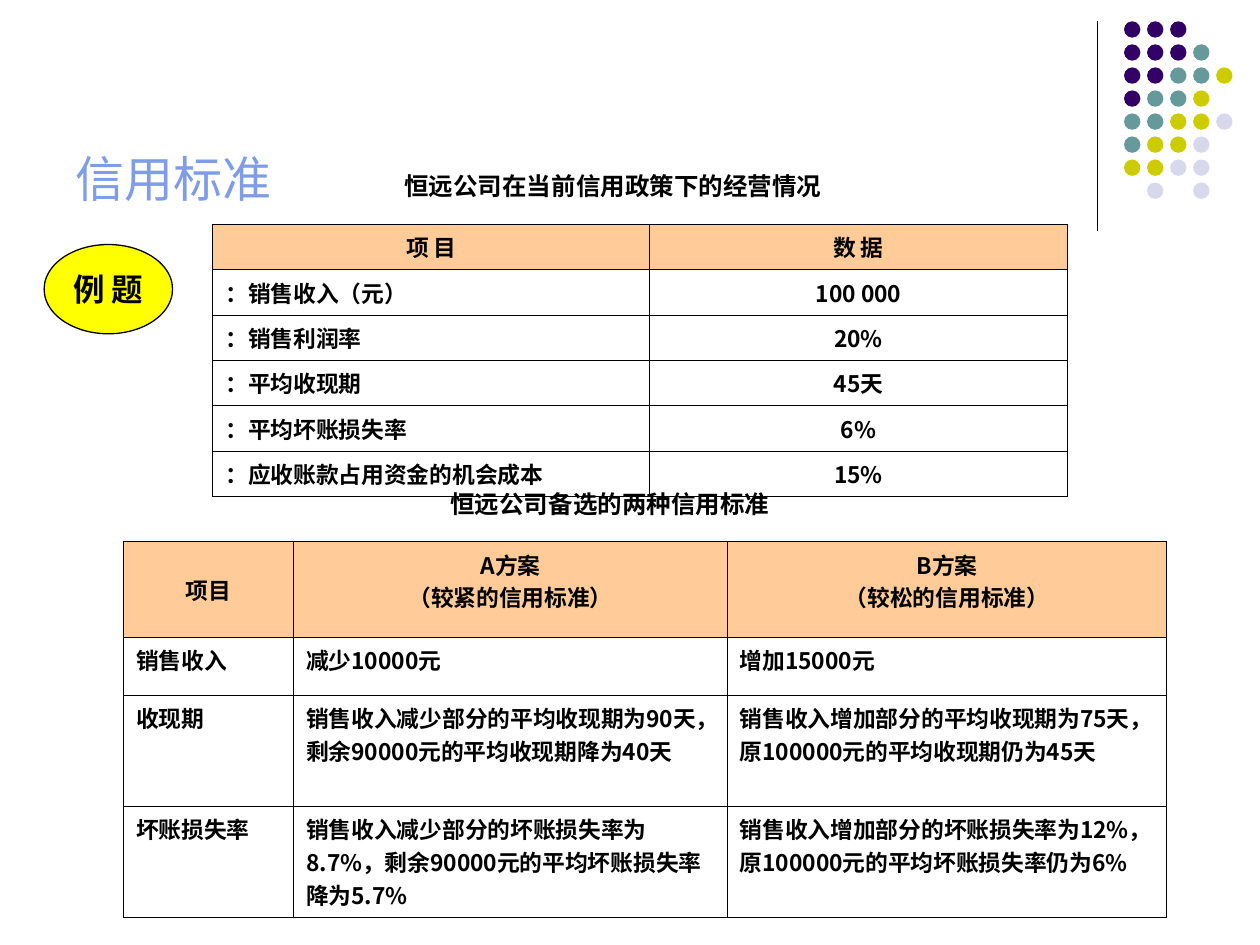
from dataclasses import dataclass

from lxml import etree
from pptx import Presentation
from pptx.dml.color import RGBColor
from pptx.enum.shapes import MSO_CONNECTOR, MSO_SHAPE
from pptx.enum.text import MSO_ANCHOR, MSO_AUTO_SIZE, PP_ALIGN
from pptx.oxml.ns import qn
from pptx.util import Cm, Pt

LEFT, CENTER = PP_ALIGN.LEFT, PP_ALIGN.CENTER
TOP, MIDDLE, BOTTOM = MSO_ANCHOR.TOP, MSO_ANCHOR.MIDDLE, MSO_ANCHOR.BOTTOM
NO_FIT = MSO_AUTO_SIZE.NONE
ELLIPSE, STRAIGHT = MSO_SHAPE.OVAL, MSO_CONNECTOR.STRAIGHT
TITLE_ONLY = 5


@dataclass(frozen=True)
class Theme:
    title_font: str = "Arial"
    body_font: str = "Noto Sans CJK SC"
    title_size: float = 28
    badge_size: float = 18
    caption_size: float = 14
    table_size: float = 13
    line_width: float = 0.75
    border_width: float = 0.45
    ink: str = "000000"
    title: str = "7E9CE8"
    badge: str = "FFFF00"
    header: str = "FFCC99"
    purple: str = "330066"
    teal: str = "669999"
    olive: str = "CCCC00"
    lilac: str = "D8D8EC"


class SlideBuilder:
    def __init__(self, slide, theme):
        self.slide = slide
        self.theme = theme

    def add_text(self, tf, text, size, font, color=None, bold=True, align=LEFT):
        for i, line in enumerate(text.split("\n")):
            p = tf.paragraphs[0] if i == 0 else tf.add_paragraph()
            p.alignment = align
            r = p.add_run()
            r.text = line
            r.font.size = Pt(size)
            r.font.bold = bold
            r.font.name = font
            r.font.color.rgb = RGBColor.from_string(color or self.theme.ink)
            ea = etree.SubElement(r.font._element, qn("a:ea"))
            ea.set("typeface", font)

    def title(self, text, left, top, width, height):
        sp = self.slide.shapes.title
        sp.left, sp.top, sp.width, sp.height = map(Cm, (left, top, width, height))
        tf = sp.text_frame
        tf.auto_size = NO_FIT
        tf.vertical_anchor = BOTTOM
        t = self.theme
        self.add_text(tf, text, t.title_size, t.title_font, t.title, bold=False)

    def caption(self, text, left, top, width, height):
        sp = self.slide.shapes.add_textbox(*map(Cm, (left, top, width, height)))
        tf = sp.text_frame
        tf.word_wrap = True
        self.add_text(tf, text, self.theme.caption_size, self.theme.title_font)

    def ellipse(self, left, top, width, height, fill, outlined=False):
        sp = self.slide.shapes.add_shape(ELLIPSE, *map(Cm, (left, top, width, height)))
        sp.shadow.inherit = False
        sp.fill.solid()
        sp.fill.fore_color.rgb = RGBColor.from_string(fill)
        if outlined:
            sp.line.color.rgb = RGBColor.from_string(self.theme.ink)
            sp.line.width = Pt(self.theme.line_width)
        else:
            sp.line.fill.background()
        return sp

    def badge(self, text, left, top, width, height):
        sp = self.ellipse(left, top, width, height, self.theme.badge, outlined=True)
        tf = sp.text_frame
        tf.word_wrap = False
        tf.vertical_anchor = MIDDLE
        self.add_text(tf, text, self.theme.badge_size, self.theme.body_font, align=CENTER)

    def dots(self, rows, left, top, size, pitch):
        t = self.theme
        colors = {"P": t.purple, "T": t.teal, "O": t.olive, "L": t.lilac}
        for y, row in enumerate(rows):
            for x, key in enumerate(row):
                if key in colors:
                    self.ellipse(left + x * pitch, top + y * pitch, size, size, colors[key])

    def line(self, x1, y1, x2, y2):
        ln = self.slide.shapes.add_connector(STRAIGHT, *map(Cm, (x1, y1, x2, y2)))
        ln.line.color.rgb = RGBColor.from_string(self.theme.ink)
        ln.line.width = Pt(self.theme.line_width)
        etree.SubElement(ln._element.spPr, qn("a:effectLst"))

    def borders(self, cell):
        tc_pr = cell._tc.get_or_add_tcPr()
        for side in ("a:lnL", "a:lnR", "a:lnT", "a:lnB"):
            ln = etree.SubElement(tc_pr, qn(side), w=str(Pt(self.theme.border_width)))
            fill = etree.SubElement(ln, qn("a:solidFill"))
            etree.SubElement(fill, qn("a:srgbClr"), val=self.theme.ink)

    def table(self, rows, left, top, widths, heights, layout):
        frame = self.slide.shapes.add_table(
            len(rows), len(widths), Cm(left), Cm(top), Cm(sum(widths)), Cm(sum(heights)))
        table = frame.table
        table.first_row = table.horz_banding = False
        for column, width in zip(table.columns, widths):
            column.width = Cm(width)
        for y, (row, height) in enumerate(zip(rows, heights)):
            table.rows[y].height = Cm(height)
            for x, text in enumerate(row):
                cell = table.cell(y, x)
                self.borders(cell)
                if y == 0:
                    cell.fill.solid()
                    cell.fill.fore_color.rgb = RGBColor.from_string(self.theme.header)
                else:
                    cell.fill.background()
                align, cell.vertical_anchor = layout(y, x)
                self.add_text(cell.text_frame, text, self.theme.table_size,
                              self.theme.body_font, align=align)


DOT_ROWS = ["PPP", "PPPT", "PPTTO", "PTTO", "TTOOL", "TOOL", "OOLL", " L L"]

CURRENT_POLICY = [
    ("项 目", "数 据"),
    ("：销售收入（元）", "100 000"),
    ("：销售利润率", "20%"),
    ("：平均收现期", "45天"),
    ("：平均坏账损失率", "6%"),
    ("：应收账款占用资金的机会成本", "15%"),
]

CREDIT_OPTIONS = [
    ("项目", "A方案\n（较紧的信用标准）", "B方案\n（较松的信用标准）"),
    ("销售收入", "减少10000元", "增加15000元"),
    ("收现期",
     "销售收入减少部分的平均收现期为90天，剩余90000元的平均收现期降为40天",
     "销售收入增加部分的平均收现期为75天，原100000元的平均收现期仍为45天"),
    ("坏账损失率",
     "销售收入减少部分的坏账损失率为8.7%，剩余90000元的平均坏账损失率降为5.7%",
     "销售收入增加部分的坏账损失率为12%，原100000元的平均坏账损失率仍为6%"),
]


def policy_layout(y, x):
    return (CENTER if y == 0 or x == 1 else LEFT), MIDDLE


def options_layout(y, x):
    return (CENTER if y == 0 else LEFT), (MIDDLE if y == x == 0 else TOP)


def main():
    prs = Presentation()
    prs.slide_width, prs.slide_height = Cm(25.4), Cm(19.05)
    s = SlideBuilder(prs.slides.add_slide(prs.slide_layouts[TITLE_ONLY]), Theme())
    s.line(22.12, 0.43, 22.12, 4.65)
    s.dots(DOT_ROWS, 22.66, 0.43, 0.33, 3.25 / 7)
    s.title("信用标准", 1.27, 0.91, 20.96, 3.4)
    s.badge("例 题", 0.89, 4.93, 2.59, 1.8)
    s.table(CURRENT_POLICY, 4.29, 4.52, [8.81, 8.41],
            [0.91] * len(CURRENT_POLICY), policy_layout)
    s.table(CREDIT_OPTIONS, 2.49, 10.92, [3.43, 8.74, 8.86],
            [1.93, 1.16, 2.24, 2.24], options_layout)
    s.caption("恒远公司备选的两种信用标准", 8.83, 9.73, 9.9, 0.86)
    s.caption("恒远公司在当前信用政策下的经营情况", 7.9, 3.33, 9.6, 0.86)
    prs.save("out.pptx")


if __name__ == "__main__":
    main()
